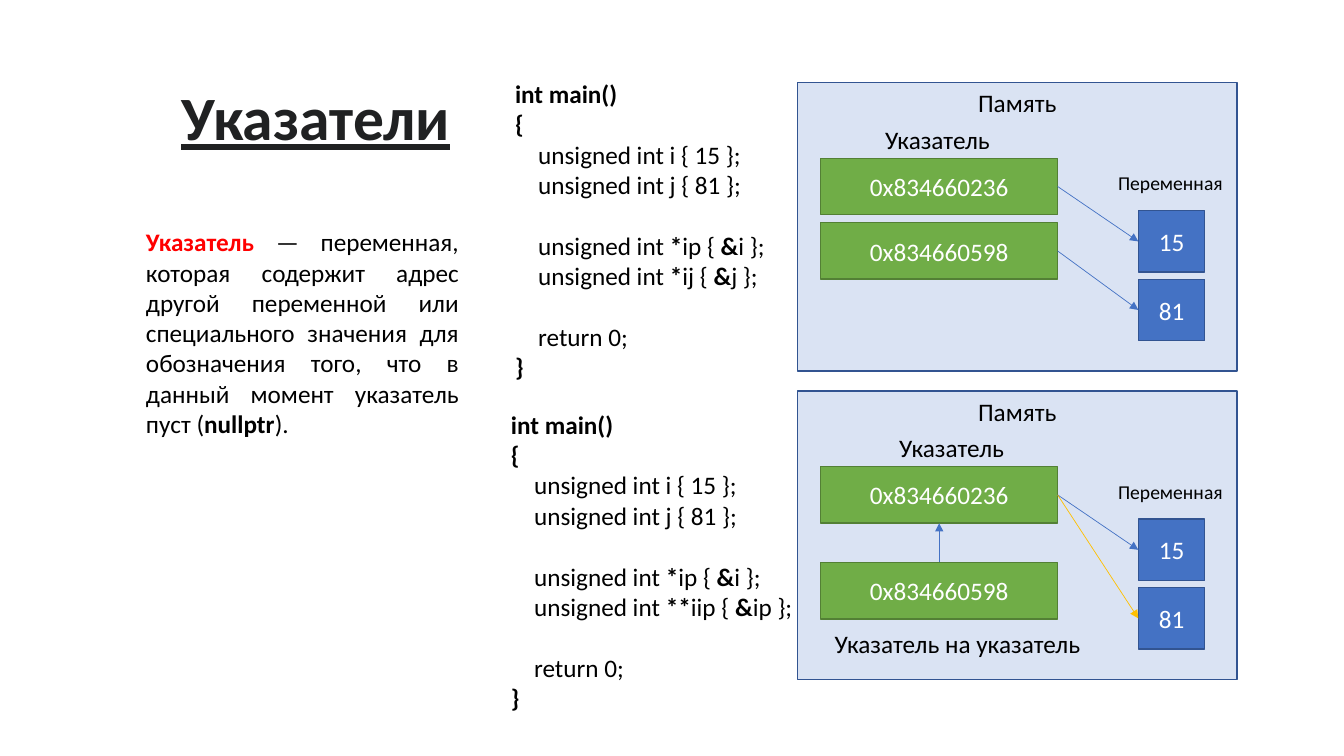
import pptx
import pptx.util
import pptx.dml.color
import pptx.enum.shapes
import pptx.enum.text
import pptx.oxml

PX = 9144
ALIGN = pptx.enum.text.PP_ALIGN
ANCHOR = pptx.enum.text.MSO_ANCHOR
FIT = pptx.enum.text.MSO_AUTO_SIZE
RECTANGLE = pptx.enum.shapes.MSO_SHAPE.RECTANGLE
STRAIGHT = pptx.enum.shapes.MSO_CONNECTOR.STRAIGHT
BLUE, DARK_BLUE, PALE_BLUE = "4472C4", "325491", "DAE3F3"
GREEN, DARK_GREEN, ORANGE = "70AD47", "538035", "FFC000"


def color(value):
    return pptx.dml.color.RGBColor.from_string(value)


def add_box(place, text, size=18, ink="000000", fill=None, line=None, align=ALIGN.LEFT, anchor=ANCHOR.TOP, wrap=True):
    place = [value * PX for value in place]
    if fill:
        box = page.shapes.add_shape(RECTANGLE, *place)
        box.shadow.inherit = False
        box.fill.solid()
        box.fill.fore_color.rgb = color(fill)
        box.line.color.rgb = color(line)
        box.line.width = pptx.util.Pt(1)
    else:
        box = page.shapes.add_textbox(*place)
        box.text_frame.auto_size = FIT.SHAPE_TO_FIT_TEXT
    frame = box.text_frame
    frame.word_wrap = wrap
    frame.vertical_anchor = anchor
    for index, content in enumerate(text.split("\n")):
        para = frame.add_paragraph() if index else frame.paragraphs[0]
        para.alignment = align
        for part, words in enumerate(content.split("|")):
            if words:
                span = para.add_run()
                span.text = words
                span.font.name = "Calibri"
                span.font.size = pptx.util.Pt(size)
                span.font.bold = part % 2 == 1
                span.font.color.rgb = color(ink)
    return box


deck = pptx.Presentation()
deck.slide_width, deck.slide_height = 1333 * PX, 750 * PX
page = deck.slides.add_slide(deck.slide_layouts[5])

title = page.shapes.title
title.left, title.top, title.width, title.height = 170 * PX, 68 * PX, 755 * PX, 104 * PX
title.text_frame.text = "Указатели"
title.text_frame.auto_size = FIT.NONE
title.text_frame.vertical_anchor = ANCHOR.MIDDLE
heading = title.text_frame.paragraphs[0]
heading.alignment = ALIGN.LEFT
heading.line_spacing = 0.9
heading.font.name = "Calibri"
heading.font.size = pptx.util.Pt(44)
heading.font.bold = True
heading.font.underline = True
heading.font.color.rgb = color("202122")

definition = add_box(
    (135, 220, 330, 222),
    "|Указатель| — переменная, которая содержит адрес другой переменной или специального значения "
    "для обозначения того, что в данный момент указатель пуст (|nullptr|).",
    align=ALIGN.JUSTIFY,
)
definition.text_frame.paragraphs[0].runs[0].font.color.rgb = color("FF0000")

arrows = []
for top, label_left, second_top in ((82, 868, 139), (388, 882, 170)):
    add_box((791, top, 436, 286), "Память", fill=PALE_BLUE, line=DARK_BLUE, align=ALIGN.CENTER)
    add_box((label_left, top + 36, 127, 40), "Указатель", wrap=False)
    add_box((1099, top + 83, 125, 34), "Переменная", size=14, wrap=False)
    pointers = [
        add_box((814, top + offset, 235, 56), address, 18, "FFFFFF", GREEN, DARK_GREEN, ALIGN.CENTER, ANCHOR.MIDDLE)
        for offset, address in ((75, "0x834660236"), (second_top, "0x834660598"))
    ]
    variables = [
        add_box((1129, top + offset, 66, 61), value, 18, "FFFFFF", BLUE, DARK_BLUE, ALIGN.CENTER, ANCHOR.MIDDLE)
        for offset, value in ((127, "15"), (195, "81"))
    ]
    arrows.append((pointers[0], 3, variables[0], 1, BLUE))
    if top == 82:
        arrows.append((pointers[1], 3, variables[1], 1, BLUE))
    else:
        arrows.append((pointers[1], 0, pointers[0], 2, BLUE))
        arrows.append((pointers[0], 3, variables[1], 1, ORANGE))
add_box((818, 618, 284, 40), "Указатель на указатель", wrap=False)

for source, source_site, target, target_site, ink in arrows:
    arrow = page.shapes.add_connector(STRAIGHT, 0, 0, 0, 0)
    arrow.begin_connect(source, source_site)
    arrow.end_connect(target, target_site)
    arrow.line.color.rgb = color(ink)
    arrow.line.width = pptx.util.Pt(0.5)
    outline = arrow.line._get_or_add_ln()
    outline.append(pptx.oxml.parse_xml(
        '<a:tailEnd xmlns:a="http://schemas.openxmlformats.org/drawingml/2006/main" type="triangle"/>'))
    outline.addnext(pptx.oxml.parse_xml(
        '<a:effectLst xmlns:a="http://schemas.openxmlformats.org/drawingml/2006/main"/>'))

for left, top, second_pointer in (
    (501, 73, "|*|ij { |&|j };"),
    (497, 401, "|**|iip { |&|ip };"),
):
    code = add_box(
        (left, top, 310, 313),
        "|int main()|\n|{|\nunsigned int i { 15 };\nunsigned int j { 81 };\n"
        "unsigned int |*|ip { |&|i };\nunsigned int " + second_pointer + "\nreturn 0;\n|}|",
    )
    lines = code.text_frame.paragraphs
    for para in lines[2:7]:
        para._p.get_or_add_pPr().set("marL", str(23 * PX))
    for para in (lines[4], lines[6]):
        para.space_before = pptx.util.Pt(22)

deck.save("out.pptx")
